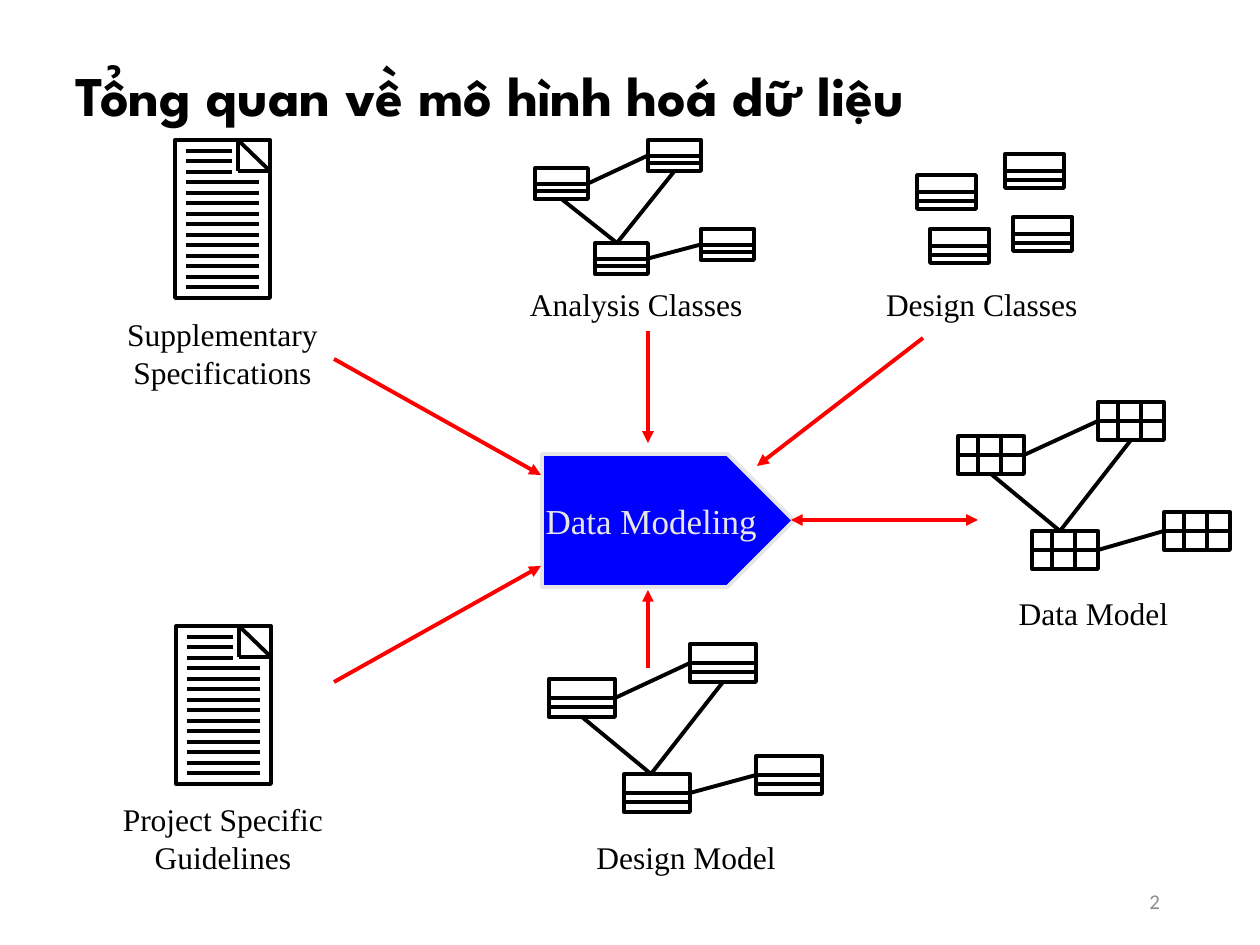
from lxml.etree import SubElement
from pptx import Presentation
from pptx.dml.color import RGBColor
from pptx.enum.shapes import MSO_CONNECTOR, MSO_SHAPE
from pptx.enum.text import MSO_ANCHOR as Anchor, PP_ALIGN as Align
from pptx.oxml.ns import qn
from pptx.util import Pt

PX = 914400 / 126
BLACK = RGBColor(0x00, 0x00, 0x00)
RED = RGBColor(0xFF, 0x00, 0x00)
BLUE = RGBColor(0x00, 0x00, 0xFF)
PALE = RGBColor(0xE7, 0xE6, 0xE6)
GRAY = RGBColor(0x8C, 0x8C, 0x8C)
SERIF = "Times New Roman"
TOP, LEFT, BOTTOM, RIGHT = range(4)

presentation = Presentation()
presentation.slide_width = round(1260 * PX)
presentation.slide_height = round(945 * PX)
slide = presentation.slides.add_slide(presentation.slide_layouts[6])
shapes = slide.shapes


def add_line(x1, y1, x2, y2, color=BLACK, ends=()):
    points = [round(value * PX) for value in (x1, y1, x2, y2)]
    line = shapes.add_connector(MSO_CONNECTOR.STRAIGHT, *points)
    line.line.color.rgb = color
    line.line.width = Pt(2.25)
    outline = line.line._get_or_add_ln()
    for end in ends:
        SubElement(outline, qn(f"a:{end}"), type="triangle")
    SubElement(line._element.spPr, qn("a:effectLst"))
    return line


def write_text(shape, text, align=Align.CENTER, anchor=Anchor.TOP, wrap=False,
               inset=(13, 6), spacing=None, **font):
    frame = shape.text_frame
    side, edge = (round(value * PX) for value in inset)
    layout = {"text": text, "word_wrap": wrap, "vertical_anchor": anchor,
              "margin_left": side, "margin_right": side,
              "margin_top": edge, "margin_bottom": edge}
    for name, value in layout.items():
        setattr(frame, name, value)
    look = {"name": SERIF, "size": Pt(18), "bold": False} | font
    color = look.pop("color", BLACK)
    for paragraph in frame.paragraphs:
        paragraph.alignment = align
        paragraph.line_spacing = spacing
        for run in paragraph.runs:
            run.font.color.rgb = color
            for name, value in look.items():
                setattr(run.font, name, value)


labels = [
    ((63, 38, 1134, 120), "Tổng quan về mô hình hoá dữ liệu",
     {"align": Align.LEFT, "anchor": Anchor.MIDDLE, "wrap": True, "spacing": 0.9,
      "name": "League Spartan", "size": Pt(32), "bold": True}),
    ((104, 309, 237, 88), "Supplementary\nSpecifications", {}),
    ((102, 794, 242, 88), "Project Specific\vGuidelines", {}),
    ((530, 285, 238, 38), "Analysis Classes", {"align": Align.LEFT, "inset": (0, 0)}),
    ((886, 285, 219, 38), "Design Classes", {"align": Align.LEFT, "inset": (0, 0)}),
    ((577, 832, 218, 50), "Design Model", {}),
    ((1000, 588, 187, 50), "Data Model", {}),
    ((890, 876, 283, 50), "2",
     {"align": Align.RIGHT, "anchor": Anchor.MIDDLE, "wrap": True,
      "name": "Calibri", "size": Pt(12), "color": GRAY}),
]
for box, text, style in labels:
    label = shapes.add_textbox(*[round(value * PX) for value in box])
    write_text(label, text, **style)

documents = [(175, 140, 95, 158), (176, 626, 95, 158)]
clusters = [
    {"size": (53, 31), "corners": [(535, 168), (648, 140), (595, 243), (701, 229)],
     "junction": (617, 243), "rows": (0.5, 0.75), "columns": ()},
    {"size": (59, 34), "corners": [(917, 175), (930, 229), (1005, 154), (1013, 217)],
     "junction": None, "rows": (0.5, 0.75), "columns": ()},
    {"size": (66, 38), "corners": [(549, 679), (690, 644), (624, 774), (756, 756)],
     "junction": (651, 774), "rows": (0.5, 0.75), "columns": ()},
    {"size": (66, 38), "corners": [(958, 436), (1098, 402), (1032, 531), (1164, 512)],
     "junction": (1060, 531), "rows": (0.5,), "columns": (0.3, 0.65)},
]
frames = documents + [corner + cluster["size"]
                      for cluster in clusters for corner in cluster["corners"]]
rectangles = {}
for frame in frames:
    rectangle = shapes.add_shape(MSO_SHAPE.RECTANGLE, *[round(value * PX) for value in frame])
    rectangle.shadow.inherit = False
    rectangle.fill.background()
    rectangle.line.color.rgb = BLACK
    rectangle.line.width = Pt(2.25)
    rectangles[frame[:2]] = rectangle

for left, top, width, height in documents:
    fold_x, fold_y, right = left + 63, top + 31, left + width
    add_line(fold_x, top, right, fold_y)
    add_line(fold_x, top, fold_x, fold_y)
    add_line(right, fold_y, fold_x, fold_y)
    for row in range(14):
        y = top + (22 + 21 * row) // 2
        add_line(left + 11, y, left + (57 if row < 3 else 84), y)

for cluster in clusters:
    width, height = cluster["size"]
    for left, top in cluster["corners"]:
        for share in cluster["rows"]:
            y = top + round(height * share)
            add_line(left, y, left + width, y)
        for share in cluster["columns"]:
            x = left + round(width * share)
            add_line(x, top, x, top + height)
    if cluster["junction"]:
        first, second, third, fourth = [rectangles[corner] for corner in cluster["corners"]]
        for start, finish in ((first, second), (third, fourth)):
            link = add_line(0, 0, 1, 1)
            link.begin_connect(start, RIGHT)
            link.end_connect(finish, LEFT)
        for finish in (first, second):
            link = add_line(*cluster["junction"], *cluster["junction"])
            link.end_connect(finish, BOTTOM)

process = shapes.add_shape(MSO_SHAPE.PENTAGON,
                           *[round(value * PX) for value in (542, 454, 252, 133)])
process.adjustments[0] = 0.5
process.shadow.inherit = False
process.fill.solid()
process.fill.fore_color.rgb = BLUE
process.line.color.rgb = PALE
process.line.width = Pt(2.25)
write_text(process, "Data Modeling", anchor=Anchor.MIDDLE, size=Pt(20), color=PALE)

arrows = [
    (923, 338, 757, 466, ["tailEnd"]),
    (334, 359, 541, 475, ["tailEnd"]),
    (334, 682, 541, 566, ["tailEnd"]),
    (648, 331, 648, 443, ["tailEnd"]),
    (648, 668, 648, 590, ["tailEnd"]),
    (791, 520, 978, 520, ["headEnd", "tailEnd"]),
]
for *points, ends in arrows:
    add_line(*points, RED, ends)

presentation.save("out.pptx")
